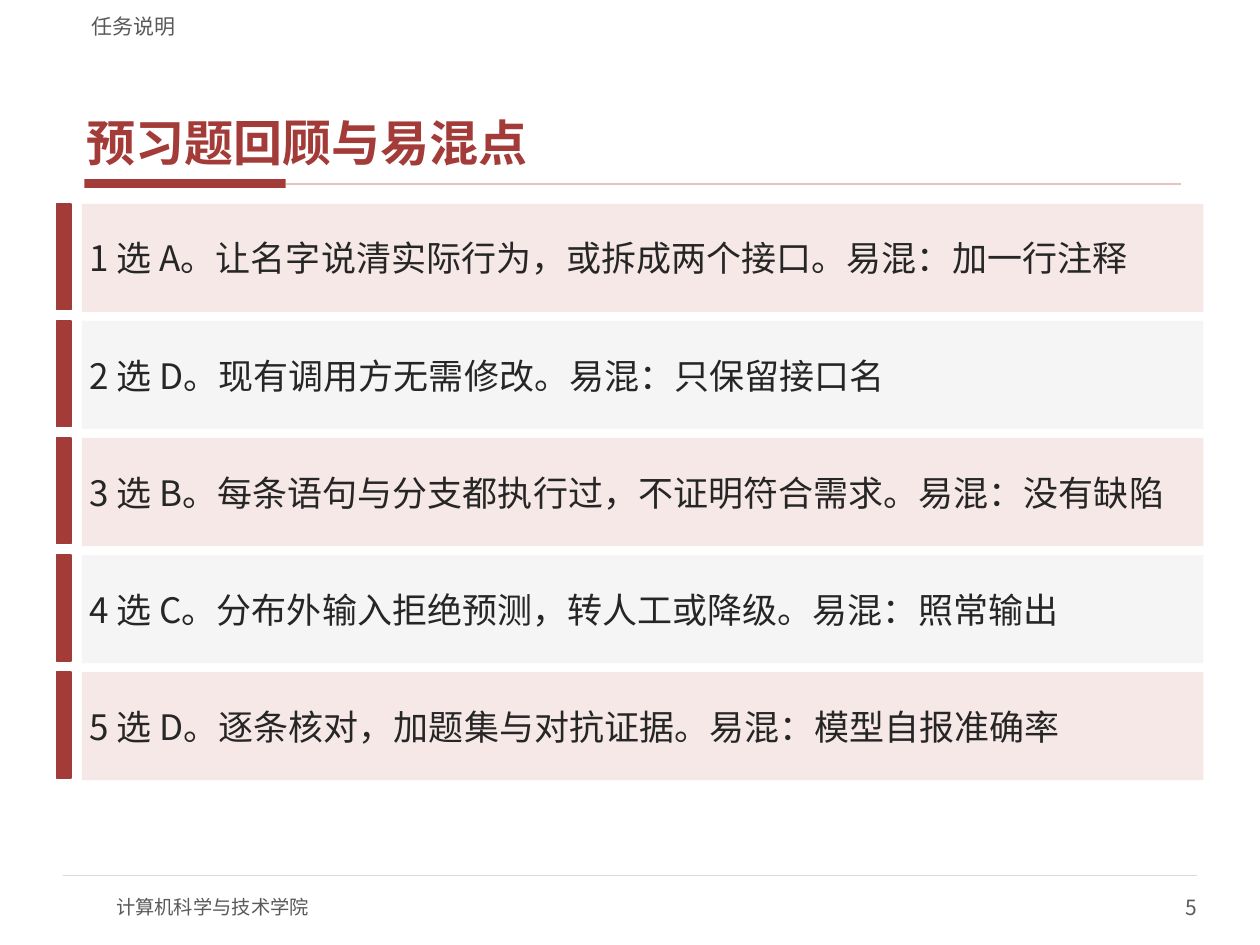
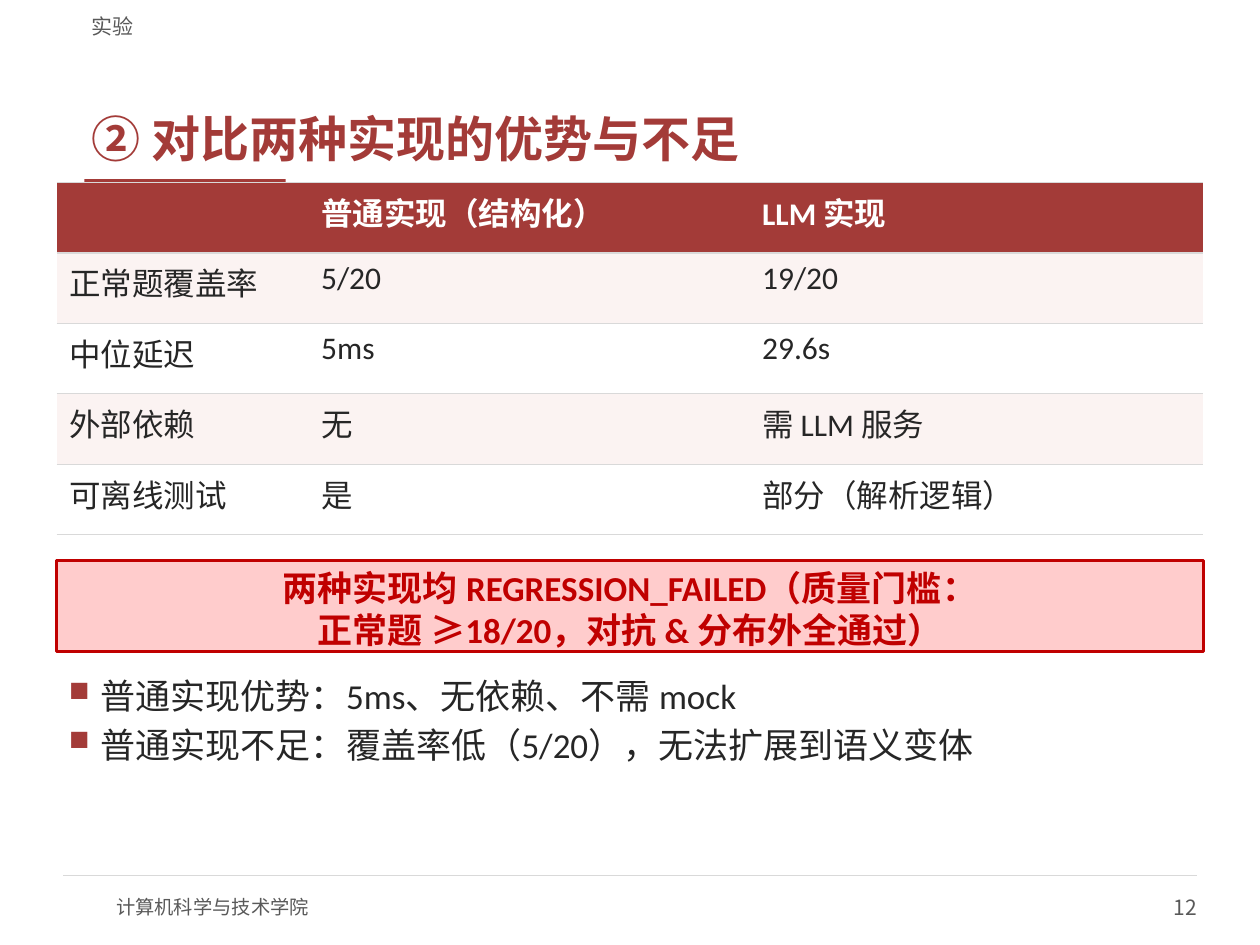
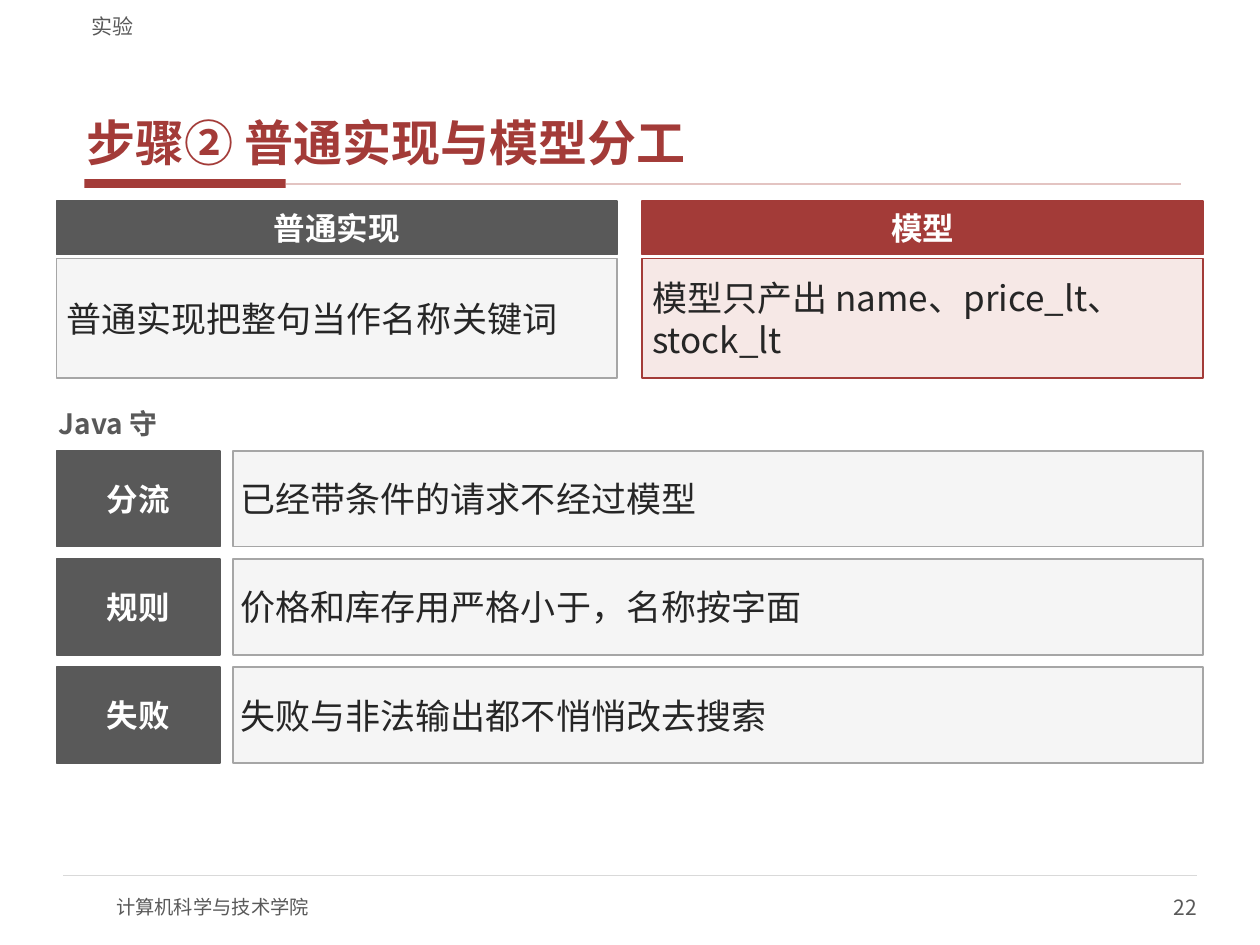
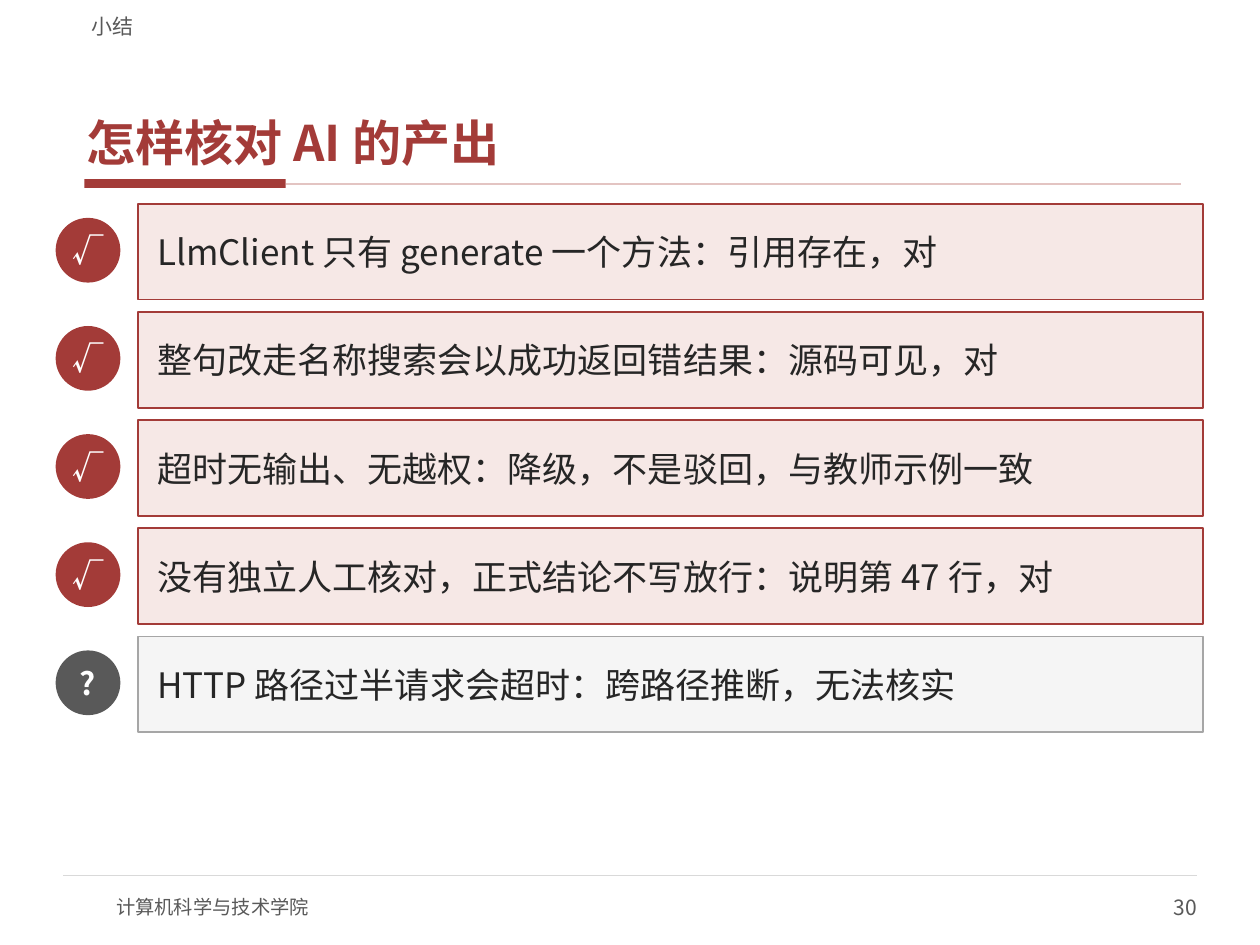
import pptx
import pptx.dml.color
import pptx.enum.shapes
import pptx.enum.text
import pptx.oxml.ns
import pptx.util
from lxml import etree

Cm = pptx.util.Cm
Pt = pptx.util.Pt
qn = pptx.oxml.ns.qn
ALIGN = pptx.enum.text.PP_ALIGN
ANCHOR = pptx.enum.text.MSO_ANCHOR
AUTO_SIZE = pptx.enum.text.MSO_AUTO_SIZE
SHAPE = pptx.enum.shapes.MSO_SHAPE

COLORS = {
    "red": "A33B38", "pale red": "F6E8E6", "row tint": "FBF3F2", "rule": "E3C4C2",
    "ink": "262626", "dark gray": "595959", "gray": "A6A6A6",
    "pale gray": "F5F5F5", "hairline": "D9D9D9", "white": "FFFFFF",
    "alert": "C00000", "alert fill": "FFCCCC",
}
CJK = "Noto Sans CJK SC"
LATIN = "Calibri"
NO_TABLE_STYLE = "{2D5ABB26-0587-4C30-8999-92F81FD0307C}"

# Shared measures in centimetres
LEFT = 1.14
RIGHT = 24.26
WIDTH = RIGHT - LEFT
ROWS_TOP = 4.11
ROW_HEIGHT = 1.93
ROW_STEP = 2.18
DEFAULT_INSETS = (0.25, 0.13)
TIGHT = (0.15, 0.08)
MEDIUM = (0.2, 0.1)
WIDE = (0.38, 0.18)


def rgb(name):
    return pptx.dml.color.RGBColor.from_string(COLORS[name])


def child(parent, tag, **attributes):
    return etree.SubElement(parent, qn(tag), attributes)


class Deck:
    """Holds the style and the current slide."""

    def __init__(self):
        self.presentation = pptx.Presentation()
        self.presentation.slide_width = Cm(25.4)
        self.presentation.slide_height = Cm(19.05)
        self.slide = None

    def new_slide(self, section, title, number, font=CJK):
        layout = self.presentation.slide_layouts[5]
        self.slide = self.presentation.slides.add_slide(layout)
        self.title(title, font)
        # Band under the title
        self.box(1.7, 3.61, 4.06, 0.18, "red")
        self.line(5.77, 23.8, 3.71, "rule", 1)
        # Footer
        self.line(1.27, 24.13, 17.65, "hairline", 0.75)
        self.label(2.34, 17.78, 10.16, 1.02, "计算机科学与技术学院", size=11)
        self.label(19.05, 17.78, 5.08, 1.02, str(number), align=ALIGN.RIGHT)
        # Section name
        self.label(1.6, 0.1, 22.23, 0.69, section, insets=(0.25, 0),
                   anchor=ANCHOR.BOTTOM)

    def title(self, text, font):
        shape = self.slide.shapes.title
        shape.left, shape.top, shape.width, shape.height = (
            Cm(1.6), Cm(0.84), Cm(22.23), Cm(2.67))
        is_cjk = font == CJK
        self.add_text(shape.text_frame, [text], 28, "red", True, font,
                      insets=(0.15, 0.05) if is_cjk else DEFAULT_INSETS,
                      anchor=ANCHOR.BOTTOM)
        paragraph = shape.text_frame.paragraphs[0]
        if is_cjk:
            paragraph.space_after = Pt(2)
        else:
            paragraph.line_spacing = 0.9

    def run(self, paragraph, text, size, color, bold, font):
        run = paragraph.add_run()
        run.text = text
        run.font.size = Pt(size)
        run.font.bold = bold
        run.font.color.rgb = rgb(color)
        run.font.name = font
        latin = run.font._element.find(qn("a:latin"))
        east_asian = etree.Element(qn("a:ea"), typeface=CJK)
        latin.addnext(east_asian)

    def add_text(self, frame, texts, size, color, bold=False, font=CJK,
                 align=ALIGN.LEFT, insets=DEFAULT_INSETS, anchor=ANCHOR.MIDDLE,
                 bullets=False, auto_size=AUTO_SIZE.NONE):
        frame.word_wrap = True
        frame.auto_size = auto_size
        frame.vertical_anchor = anchor
        frame.margin_left = frame.margin_right = Cm(insets[0])
        frame.margin_top = frame.margin_bottom = Cm(insets[1])
        for index, text in enumerate(texts):
            paragraph = frame.add_paragraph() if index else frame.paragraphs[0]
            paragraph.alignment = align
            if bullets:
                self.bullet(paragraph)
                if index:
                    paragraph.space_before = Pt(4)
            for line_index, line in enumerate(text.split("\n")):
                if line_index:
                    paragraph.add_line_break()
                self.run(paragraph, line, size, color, bold, font)

    def bullet(self, paragraph):
        properties = paragraph._p.get_or_add_pPr()
        properties.set("marL", str(Cm(0.64)))
        properties.set("indent", str(-Cm(0.64)))
        child(child(properties, "a:buClr"), "a:srgbClr", val=COLORS["red"])
        child(properties, "a:buSzPct", val="80000")
        child(properties, "a:buChar", char="■")

    def box(self, left, top, width, height, fill, line=None, line_width=1,
            kind=SHAPE.RECTANGLE):
        shape = self.slide.shapes.add_shape(
            kind, Cm(left), Cm(top), Cm(width), Cm(height))
        shape.shadow.inherit = False
        shape.fill.solid()
        shape.fill.fore_color.rgb = rgb(fill)
        if line:
            shape.line.color.rgb = rgb(line)
            shape.line.width = Pt(line_width)
        else:
            shape.line.fill.background()
        return shape

    def panel(self, left, top, width, height, text, fill, line=None, insets=TIGHT):
        """A light box with body text."""
        shape = self.box(left, top, width, height, fill, line)
        self.add_text(shape.text_frame, [text], 20, "ink", insets=insets)

    def badge(self, left, top, width, height, text, color, insets=MEDIUM,
              kind=SHAPE.RECTANGLE):
        """A dark shape with a bold white centred caption."""
        shape = self.box(left, top, width, height, color, color, kind=kind)
        self.add_text(shape.text_frame, [text], 18, "white", True,
                      align=ALIGN.CENTER, insets=insets)

    def line(self, start, end, top, color, width):
        connector = self.slide.shapes.add_connector(
            pptx.enum.shapes.MSO_CONNECTOR.STRAIGHT,
            Cm(start), Cm(top), Cm(end), Cm(top))
        connector.line.color.rgb = rgb(color)
        connector.line.width = Pt(width)
        child(connector._element.spPr, "a:effectLst")

    def label(self, left, top, width, height, *texts, size=12, color="dark gray",
              insets=(0, 0), **style):
        shape = self.slide.shapes.add_textbox(
            Cm(left), Cm(top), Cm(width), Cm(height))
        self.add_text(shape.text_frame, texts, size, color, insets=insets, **style)

    def table(self, left, top, column_widths, row_height, rows):
        frame = self.slide.shapes.add_table(
            len(rows), len(column_widths), Cm(left), Cm(top),
            Cm(sum(column_widths)), Cm(row_height * len(rows)))
        frame._element.find(".//" + qn("a:tableStyleId")).text = NO_TABLE_STYLE
        table = frame.table
        for column, width in zip(table.columns, column_widths):
            column.width = Cm(width)
        for row_index, texts in enumerate(rows):
            table.rows[row_index].height = Cm(row_height)
            header = row_index == 0
            fill = "red" if header else ("white", "row tint")[row_index % 2]
            for column_index, text in enumerate(texts):
                cell = table.cell(row_index, column_index)
                self.cell_borders(cell)
                cell.fill.solid()
                cell.fill.fore_color.rgb = rgb(fill)
                if text:
                    self.run(cell.text_frame.paragraphs[0], text, 18,
                             "white" if header else "ink", header, LATIN)

    def cell_borders(self, cell):
        properties = cell._tc.get_or_add_tcPr()
        for side in ("a:lnT", "a:lnB"):
            border = child(properties, side, w=str(Pt(0.75)))
            fill = child(border, "a:solidFill")
            child(fill, "a:srgbClr", val=COLORS["hairline"])


def review_slide(deck):
    deck.new_slide("任务说明", "预习题回顾与易混点", 5)
    answers = [
        "1 选 A。让名字说清实际行为，或拆成两个接口。易混：加一行注释",
        "2 选 D。现有调用方无需修改。易混：只保留接口名",
        "3 选 B。每条语句与分支都执行过，不证明符合需求。易混：没有缺陷",
        "4 选 C。分布外输入拒绝预测，转人工或降级。易混：照常输出",
        "5 选 D。逐条核对，加题集与对抗证据。易混：模型自报准确率",
    ]
    for index, answer in enumerate(answers):
        top = ROWS_TOP + index * 2.36
        deck.box(LEFT, top, 0.3, 2.13, "red", "red")
        deck.panel(1.65, top, RIGHT - 1.65, 2.18, answer,
                   ("pale red", "pale gray")[index % 2])


def comparison_slide(deck):
    deck.new_slide("实验", "② 对比两种实现的优势与不足", 12, LATIN)
    deck.table(LEFT, 3.68, (5.08, 8.89, 9.14), 1.42, [
        ("", "普通实现（结构化）", "LLM 实现"),
        ("正常题覆盖率", "5/20", "19/20"),
        ("中位延迟", "5ms", "29.6s"),
        ("外部依赖", "无", "需 LLM 服务"),
        ("可离线测试", "是", "部分（解析逻辑）"),
    ])
    # Verdict
    verdict = deck.box(LEFT, 11.3, WIDTH, 1.83, "alert fill", "alert", 1.5)
    deck.add_text(verdict.text_frame,
                  ["两种实现均 REGRESSION_FAILED（质量门槛：\n"
                   "正常题 ≥18/20，对抗 & 分布外全通过）"],
                  20, "alert", True, LATIN, ALIGN.CENTER, anchor=ANCHOR.TOP,
                  auto_size=AUTO_SIZE.SHAPE_TO_FIT_TEXT)
    # Strength and weakness
    deck.label(LEFT, 13.46, 22.86, 3.05,
               "普通实现优势：5ms、无依赖、不需 mock",
               "普通实现不足：覆盖率低（5/20），无法扩展到语义变体",
               size=20, color="ink", font=LATIN, insets=DEFAULT_INSETS,
               anchor=ANCHOR.TOP, bullets=True,
               auto_size=AUTO_SIZE.SHAPE_TO_FIT_TEXT)


def division_slide(deck):
    deck.new_slide("实验", "步骤② 普通实现与模型分工", 22)
    # Two columns
    columns = [
        ("普通实现", "普通实现把整句当作名称关键词", "dark gray", "pale gray", "gray"),
        ("模型", "模型只产出 name、price_lt、stock_lt", "red", "pale red", "red"),
    ]
    for index, (heading, body, color, fill, line) in enumerate(columns):
        left = LEFT + index * 11.81
        deck.badge(left, 4.06, 11.3, 1.07, heading, color)
        deck.panel(left, 5.21, 11.3, 2.41, body, fill, line, MEDIUM)
    # Guard rules
    deck.label(LEFT, 8.13, 7.62, 0.81, "Java 守", size=16, bold=True,
               insets=(0.05, 0.03))
    guards = [
        ("分流", "已经带条件的请求不经过模型"),
        ("规则", "价格和库存用严格小于，名称按字面"),
        ("失败", "失败与非法输出都不悄悄改去搜索"),
    ]
    for index, (name, rule) in enumerate(guards):
        top = 9.09 + index * ROW_STEP
        deck.badge(LEFT, top, 3.3, ROW_HEIGHT, name, "dark gray")
        deck.panel(4.7, top, RIGHT - 4.7, ROW_HEIGHT, rule, "pale gray", "gray")


def checking_slide(deck):
    deck.new_slide("小结", "怎样核对 AI 的产出", 30)
    checks = [
        ("√", "LlmClient 只有 generate 一个方法：引用存在，对"),
        ("√", "整句改走名称搜索会以成功返回错结果：源码可见，对"),
        ("√", "超时无输出、无越权：降级，不是驳回，与教师示例一致"),
        ("√", "没有独立人工核对，正式结论不写放行：说明第 47 行，对"),
        ("?", "HTTP 路径过半请求会超时：跨路径推断，无法核实"),
    ]
    styles = {"√": ("red", "pale red", "red"), "?": ("dark gray", "pale gray", "gray")}
    for index, (mark, claim) in enumerate(checks):
        color, fill, line = styles[mark]
        top = ROWS_TOP + index * ROW_STEP
        deck.badge(LEFT, top + 0.3, 1.27, 1.27, mark, color, (0, 0), SHAPE.OVAL)
        deck.panel(2.79, top, RIGHT - 2.79, ROW_HEIGHT, claim, fill, line, WIDE)


def main():
    deck = Deck()
    review_slide(deck)
    comparison_slide(deck)
    division_slide(deck)
    checking_slide(deck)
    deck.presentation.save("out.pptx")


if __name__ == "__main__":
    main()
